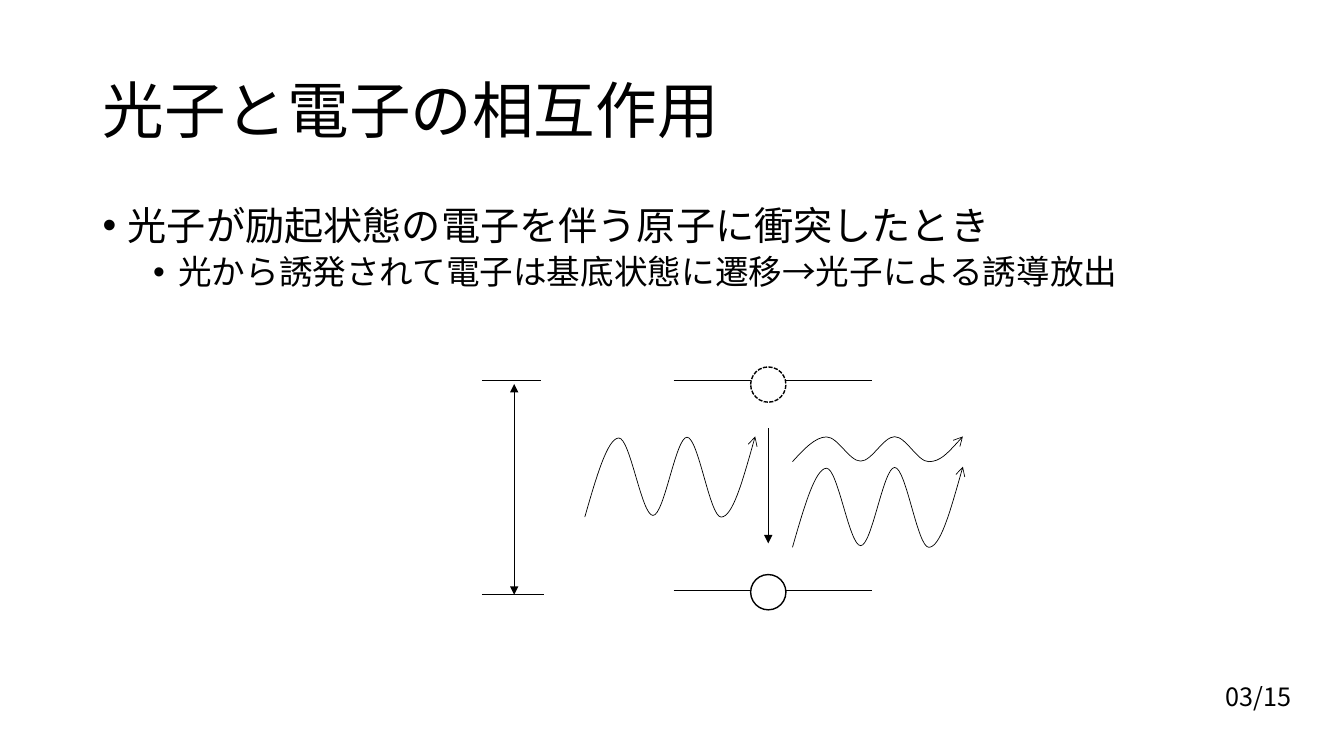
from pptx import Presentation
from pptx.dml.color import RGBColor
from pptx.enum.dml import MSO_LINE
from pptx.enum.shapes import MSO_CONNECTOR, MSO_SHAPE
from pptx.enum.text import MSO_ANCHOR
from pptx.oxml.ns import qn
from pptx.util import Inches, Pt
from lxml import etree

BLACK = RGBColor(0, 0, 0)
WHITE = RGBColor(255, 255, 255)
FONT = "Noto Sans CJK JP"
STRAIGHT = MSO_CONNECTOR.STRAIGHT
OVAL = MSO_SHAPE.OVAL
DASHED = MSO_LINE.SQUARE_DOT
TOP, MIDDLE = MSO_ANCHOR.TOP, MSO_ANCHOR.MIDDLE
ELECTRON_SIZE = 0.35


def style_line(shape, width=0.5, head=None, tail=None):
    shape.line.color.rgb = BLACK
    shape.line.width = Pt(width)
    outline = shape.line._get_or_add_ln()
    for tag, arrow in (("a:headEnd", head), ("a:tailEnd", tail)):
        if arrow:
            etree.SubElement(outline, qn(tag)).set("type", arrow)


def add_line(slide, start, end, head=None, tail=None):
    line = slide.shapes.add_connector(STRAIGHT, *map(Inches, start + end))
    style_line(line, head=head, tail=tail)
    etree.SubElement(line._element.spPr, qn("a:effectLst"))


def add_text_box(slide, box, anchor=TOP):
    frame = slide.shapes.add_textbox(*map(Inches, box)).text_frame
    frame.word_wrap = True
    frame.vertical_anchor = anchor
    return frame


def write_paragraph(paragraph, text, size, line_spacing=None):
    paragraph.text = text
    if line_spacing:
        paragraph.line_spacing = line_spacing
    font = paragraph.font
    font.size = Pt(size)
    font.name = FONT
    font.color.rgb = BLACK
    defaults = paragraph._p.pPr.find(qn("a:defRPr"))
    etree.SubElement(defaults, qn("a:ea")).set("typeface", FONT)


def add_title(slide, box, text):
    write_paragraph(add_text_box(slide, box, MIDDLE).paragraphs[0], text, 44, 0.9)


def add_page_number(slide, box, text):
    write_paragraph(add_text_box(slide, box).paragraphs[0], text, 18)


def add_bullets(slide, box, items):
    """Write (level, text) items, smaller and further in at level 1."""
    frame = add_text_box(slide, box)
    for index, (level, text) in enumerate(items):
        paragraph = frame.add_paragraph() if index else frame.paragraphs[0]
        paragraph.level = level
        properties = paragraph._p.get_or_add_pPr()
        properties.set("marL", str(Inches(0.25 + 0.5 * level)))
        properties.set("indent", str(Inches(-0.25)))
        etree.SubElement(properties, qn("a:buFont")).set("typeface", "Arial")
        etree.SubElement(properties, qn("a:buChar")).set("char", "•")
        if index:
            paragraph.space_before = Pt(5)
        write_paragraph(paragraph, text, 28 - 4 * level, 0.9)


def add_energy_gap(slide, box):
    """Draw two levels joined by a double-headed arrow."""
    left, top, width, height = box
    bottom = top + height
    arrow_x = left + 0.32
    add_line(slide, (left, bottom), (left + width, bottom))
    add_line(slide, (left, top), (left + width - 0.03, top))
    add_line(slide, (arrow_x, bottom), (arrow_x, top + 0.04), "triangle", "triangle")


def add_electron(slide, center_x, top, dashed=False):
    electron = slide.shapes.add_shape(
        OVAL, Inches(center_x - ELECTRON_SIZE / 2), Inches(top),
        Inches(ELECTRON_SIZE), Inches(ELECTRON_SIZE))
    electron.shadow.inherit = False
    electron.fill.solid()
    electron.fill.fore_color.rgb = WHITE
    style_line(electron, 1)
    if dashed:
        electron.line.dash_style = DASHED


def add_transition(slide, box):
    """Draw an electron falling from the upper level to the lower one."""
    left, top, width, height = box
    center_x = left + 0.94
    add_line(slide, (center_x, top + 0.48), (center_x, top + 1.62), tail="triangle")
    for level_y in (top, top + height):
        add_line(slide, (left, level_y), (left + width, level_y))
    add_electron(slide, center_x, top - 0.13, dashed=True)
    add_electron(slide, center_x, top + height - 0.16)


def add_photon_wave(slide, box):
    """Draw a curve of five half waves that rises to an arrowhead."""
    left, top, width, height = box
    knots = [1, 0.02, 0.98, 0.01, 1, 0]
    last = len(knots) - 1
    points = []
    for index, (start, end) in enumerate(zip(knots, knots[1:])):
        middle = (start + end) / 2
        depths = (middle if index == 0 else start,
                  middle if index == last - 1 else end, end)
        for third, depth in enumerate(depths, 1):
            points.append((Inches(left + width * (index + third / 3) / last),
                           Inches(top + height * depth)))
    builder = slide.shapes.build_freeform(Inches(left), Inches(top + height))
    builder.add_line_segments(points, close=False)
    wave = builder.convert_to_shape()
    wave.shadow.inherit = False
    wave.fill.background()
    style_line(wave, tail="arrow")
    segments = list(wave._element.iter(qn("a:lnTo")))
    for index in range(0, len(segments), 3):
        curve = etree.Element(qn("a:cubicBezTo"))
        segments[index].addprevious(curve)
        for segment in segments[index:index + 3]:
            curve.append(segment[0])
            segment.getparent().remove(segment)


def main():
    presentation = Presentation()
    presentation.slide_width = Inches(13.33)
    presentation.slide_height = Inches(7.5)
    slide = presentation.slides.add_slide(presentation.slide_layouts[6])
    add_title(slide, (0.92, 0.4, 11.5, 1.45), "光子と電子の相互作用")
    add_page_number(slide, (12.06, 6.71, 1.12, 0.4), "03/15")
    add_energy_gap(slide, (4.78, 3.77, 0.62, 2.13))
    add_transition(slide, (6.68, 3.77, 1.97, 2.09))
    for left, top, height in ((5.8, 4.33, 0.8), (7.86, 4.63, 0.8), (7.86, 4.33, 0.25)):
        add_photon_wave(slide, (left, top, 1.69, height))
    add_bullets(slide, (0.92, 2, 11.5, 4.76), [
        (0, "光子が励起状態の電子を伴う原子に衝突したとき"),
        (1, "光から誘発されて電子は基底状態に遷移→光子による誘導放出"),
    ])
    presentation.save("out.pptx")


if __name__ == "__main__":
    main()
